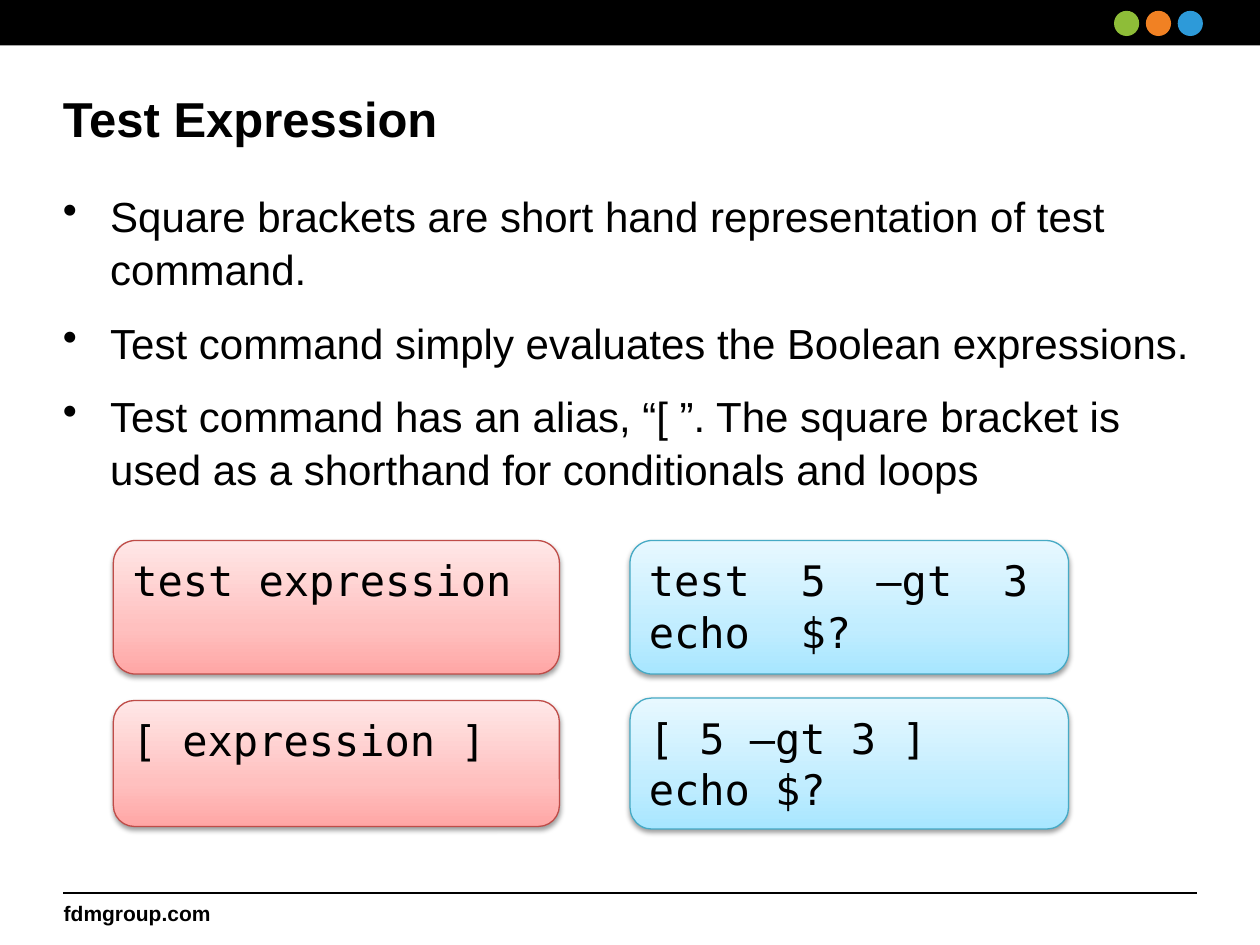
from copy import deepcopy

from lxml import etree
from pptx import Presentation
from pptx.dml.color import RGBColor
from pptx.enum.shapes import MSO_CONNECTOR as Connector, MSO_SHAPE as Shape
from pptx.enum.text import MSO_ANCHOR as Anchor, PP_ALIGN as Align
from pptx.oxml import parse_xml
from pptx.oxml.ns import nsdecls, qn
from pptx.util import Pt

BULLETS = [
    "Square brackets are short hand representation of test command.",
    "Test command simply evaluates the Boolean expressions.",
    "Test command has an alias, “[ ”. The square bracket is used as a "
    "shorthand for conditionals and loops",
]
RED = (["FFA6A5", "FFC0BF", "FFE7E7"], "BF4C48")
BLUE = (["A7E6FF", "C1EDFF", "E7F8FF"], "46AAC5")
CODE_BOXES = [
    (64.8, 308.9, 254.9, 76.3, RED, ["test expression"]),
    (64.8, 400.3, 254.9, 72, RED, ["[ expression ]"]),
    (360, 308.9, 250.6, 76.3, BLUE, ["test  5  –gt  3", "echo  $?"]),
    (360, 398.9, 250.6, 74.9, BLUE, ["[ 5 –gt 3 ]", "echo $?"]),
]


def color(value):
    """Turn a hex string into a colour."""
    return RGBColor.from_string(value)


def write(frame, lines, size=24, font="Arial", bold=False, align=Align.LEFT,
          anchor=Anchor.TOP, wrap=True, margins=(7.2, 3.6, 7.2, 3.6),
          bullet_indent=0, gap=0, spacing=None):
    """Fill a text frame with one paragraph per line."""
    frame.word_wrap = wrap
    frame.vertical_anchor = anchor
    (frame.margin_left, frame.margin_top,
     frame.margin_right, frame.margin_bottom) = map(Pt, margins)
    for index, line in enumerate(lines):
        paragraph = frame.paragraphs[0] if index == 0 else frame.add_paragraph()
        paragraph.text = line
        if bullet_indent:
            properties = paragraph._p.get_or_add_pPr()
            properties.set("marL", str(Pt(bullet_indent)))
            properties.set("indent", str(-Pt(bullet_indent)))
            etree.SubElement(properties, qn("a:buChar")).set("char", "•")
        paragraph.alignment = align
        paragraph.line_spacing = spacing
        paragraph.space_before = Pt(gap if index else 0)
        paragraph.space_after = Pt(gap)
        for run in paragraph.runs:
            run.font.size, run.font.name, run.font.bold = Pt(size), font, bold
            run.font.color.rgb = color("000000")


def add_text(slide, left, top, width, height, lines, **style):
    """Add a text box."""
    box = slide.shapes.add_textbox(Pt(left), Pt(top), Pt(width), Pt(height))
    write(box.text_frame, lines, **style)


def add_plain(slide, kind, left, top, width, height, fill):
    """Add a flat shape without outline."""
    shape = slide.shapes.add_shape(kind, Pt(left), Pt(top), Pt(width), Pt(height))
    shape.shadow.inherit = False
    shape.fill.solid()
    shape.fill.fore_color.rgb = color(fill)
    shape.line.fill.background()


def add_rule(slide, left, right, y):
    """Add a thin horizontal line."""
    rule = slide.shapes.add_connector(
        Connector.STRAIGHT, Pt(left), Pt(y), Pt(right), Pt(y))
    rule.line.color.rgb = color("000000")
    rule.line.width = Pt(1)
    etree.SubElement(rule._element.spPr, qn("a:effectLst"))


def shade(shape, colors):
    """Fill a shape with a three-stop gradient rising from the bottom."""
    shape.fill.gradient()
    shape.fill.gradient_angle = 90
    stop_list = shape._element.spPr.find(qn("a:gradFill")).find(qn("a:gsLst"))
    stop_list.append(deepcopy(stop_list[-1]))
    for stop, position, value in zip(shape.fill.gradient_stops, (0, 0.35, 1), colors):
        stop.position = position
        stop.color.rgb = color(value)


def cast_shadow(shape):
    """Give a shape a soft shadow below it."""
    shape.shadow.inherit = False
    shape._element.spPr.find(qn("a:effectLst")).append(parse_xml(
        f'<a:outerShdw {nsdecls("a")} blurRad="{Pt(3.1)}" dist="{Pt(1.6)}" '
        'dir="5400000" rotWithShape="0"><a:srgbClr val="000000">'
        '<a:alpha val="38000"/></a:srgbClr></a:outerShdw>'))


def add_code_box(slide, left, top, width, height, palette, code):
    """Add a rounded box holding lines of code."""
    colors, outline = palette
    box = slide.shapes.add_shape(
        Shape.ROUNDED_RECTANGLE, Pt(left), Pt(top), Pt(width), Pt(height))
    shade(box, colors)
    box.line.color.rgb = color(outline)
    box.line.width = Pt(0.75)
    cast_shadow(box)
    write(box.text_frame, code, font="DejaVu Sans Mono", spacing=1.03)


def main():
    """Build the slide and save it."""
    deck = Presentation()
    deck.slide_width, deck.slide_height = Pt(720), Pt(540)
    slide = deck.slides.add_slide(deck.slide_layouts[6])

    add_text(slide, 27.4, 511.2, 100.1, 21.6, ["fdmgroup.com"], size=12, bold=True,
             align=Align.RIGHT, anchor=Anchor.MIDDLE, wrap=False)
    add_plain(slide, Shape.RECTANGLE, 0, 0, 720, 26, "000000")
    for index, dot in enumerate(["8EBD38", "F18123", "2D9AD9"]):
        add_plain(slide, Shape.OVAL, 636.6 + 18.2 * index, 6.2, 14.4, 14.4, dot)
    add_rule(slide, 36, 684, 510.5)

    add_text(slide, 36, 50.4, 648, 37.4, ["Test Expression"], size=28, bold=True,
             margins=(0, 0, 0, 3.6))
    add_text(slide, 36, 107.3, 648, 356.4, BULLETS, margins=(0, 0, 0, 0),
             bullet_indent=27, gap=6, spacing=1.05)
    for box in CODE_BOXES:
        add_code_box(slide, *box)

    deck.save("out.pptx")


if __name__ == "__main__":
    main()
